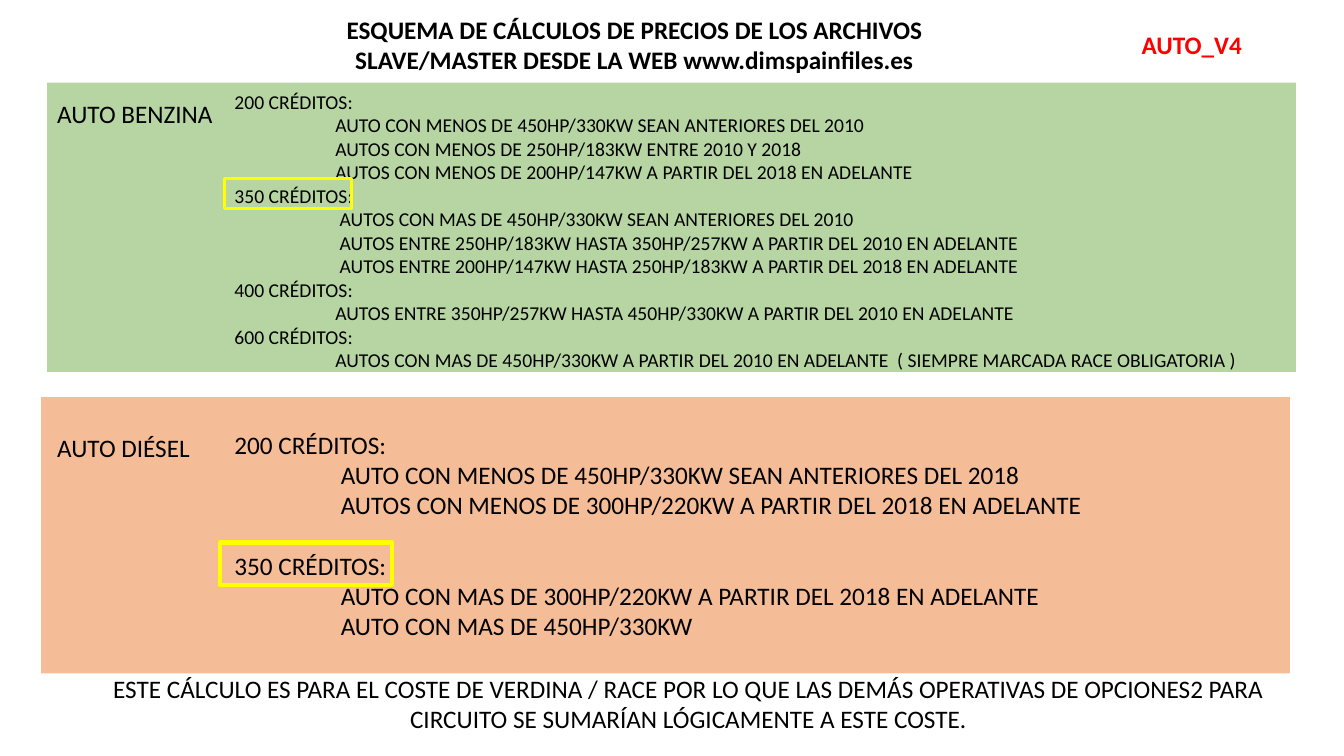
from lxml.etree import SubElement
from pptx import Presentation
from pptx.dml.color import RGBColor
from pptx.enum.shapes import MSO_SHAPE
from pptx.enum.text import PP_ALIGN
from pptx.oxml.ns import qn
from pptx.util import Cm, Pt

BENZINA = [
    ("200 CRÉDITOS:", 2.54, [
        "AUTO CON MENOS DE 450HP/330KW SEAN ANTERIORES DEL 2010",
        "AUTOS CON MENOS DE 250HP/183KW ENTRE 2010 Y 2018",
        "AUTOS CON MENOS DE 200HP/147KW A PARTIR DEL 2018 EN ADELANTE"]),
    ("350 CRÉDITOS:", 2.65, [
        "AUTOS CON MAS DE 450HP/330KW SEAN ANTERIORES DEL 2010",
        "AUTOS ENTRE 250HP/183KW HASTA 350HP/257KW A PARTIR DEL 2010 EN ADELANTE",
        "AUTOS ENTRE 200HP/147KW HASTA 250HP/183KW A PARTIR DEL 2018 EN ADELANTE"]),
    ("400 CRÉDITOS:", 2.54, [
        "AUTOS ENTRE 350HP/257KW HASTA 450HP/330KW A PARTIR DEL 2010 EN ADELANTE"]),
    ("600 CRÉDITOS:", 2.54, [
        "AUTOS CON MAS DE 450HP/330KW A PARTIR DEL 2010 EN ADELANTE  "
        "( SIEMPRE MARCADA RACE OBLIGATORIA )"]),
]
DIESEL = [
    ("200 CRÉDITOS:", 2.68, [
        "AUTO CON MENOS DE 450HP/330KW SEAN ANTERIORES DEL 2018",
        "AUTOS CON MENOS DE 300HP/220KW A PARTIR DEL 2018 EN ADELANTE"]),
    ("350 CRÉDITOS:", 2.68, [
        "AUTO CON MAS DE 300HP/220KW A PARTIR DEL 2018 EN ADELANTE",
        "AUTO CON MAS DE 450HP/330KW"]),
]


def color(hex_code):
    return RGBColor.from_string(hex_code)


def style(paragraph, size=18, hex_code="000000", bold=False):
    font = paragraph.font
    font.name, font.size, font.bold = "Calibri", Pt(size), bold
    font.color.rgb = color(hex_code)


def add_text(slide, box, text="", align=PP_ALIGN.LEFT, wrap=True, **look):
    frame = slide.shapes.add_textbox(*map(Cm, box)).text_frame
    frame.word_wrap = wrap
    if text:
        paragraph = frame.paragraphs[0]
        paragraph.text, paragraph.alignment = text, align
        style(paragraph, **look)
    return frame


def add_rectangle(slide, box):
    rectangle = slide.shapes.add_shape(MSO_SHAPE.RECTANGLE, *map(Cm, box))
    rectangle.shadow.inherit = False
    return rectangle


def add_band(slide, box, fill):
    band = add_rectangle(slide, box)
    band.fill.solid()
    band.fill.fore_color.rgb = color(fill)
    band.line.fill.background()
    # Half transparent
    srgb = band.fill._xPr.find(qn("a:solidFill")).find(qn("a:srgbClr"))
    SubElement(srgb, qn("a:alpha")).set("val", "50000")


def add_highlight(slide, box, width):
    highlight = add_rectangle(slide, box)
    highlight.fill.background()
    highlight.line.color.rgb = color("FFFF00")
    highlight.line.width = Pt(width)


def add_prices(slide, box, tariffs, size, gap):
    frame = add_text(slide, box)
    paragraph = frame.paragraphs[0]
    for index, (credits, indent, conditions) in enumerate(tariffs):
        if index:
            paragraph = frame.add_paragraph()
            paragraph.space_before = Pt(gap)
        paragraph.text = credits
        style(paragraph, size)
        for condition in conditions:
            paragraph = frame.add_paragraph()
            paragraph.text = condition
            paragraph._p.get_or_add_pPr().set("marL", str(Cm(indent)))
            style(paragraph, size)


def add_fuel(slide, box, fill, fuel, label_at, tariffs, prices_at,
             size, gap, highlight_box, highlight_width):
    """Offsets are measured from the top left corner of the band."""
    left, top, width, height = box
    add_band(slide, box, fill)
    add_text(slide, (left + label_at[0], top + label_at[1], 4.47, 1.02),
             fuel, wrap=False)
    dx, dy = prices_at
    add_prices(slide, (left + dx, top + dy, 26.5, height - dy),
               tariffs, size, gap)
    dx, dy, *extent = highlight_box
    add_highlight(slide, (left + dx, top + dy, *extent), highlight_width)


def add_header(slide, left, top):
    add_text(slide, (left, top, 16.94, 1.8),
             "ESQUEMA DE CÁLCULOS DE PRECIOS DE LOS ARCHIVOS SLAVE/MASTER "
             "DESDE LA WEB www.dimspainfiles.es", PP_ALIGN.CENTER, bold=True)
    add_text(slide, (left + 21, top + 0.38, 3.63, 1.02), "AUTO_V4",
             wrap=False, hex_code="FF0000", bold=True)


def add_footer(slide, box):
    add_text(slide, box,
             "ESTE CÁLCULO ES PARA EL COSTE DE VERDINA / RACE POR LO QUE LAS "
             "DEMÁS OPERATIVAS DE OPCIONES2 PARA CIRCUITO SE SUMARÍAN "
             "LÓGICAMENTE A ESTE COSTE.", PP_ALIGN.CENTER)


def main():
    deck = Presentation()
    deck.slide_width, deck.slide_height = Cm(33.87), Cm(19.05)
    slide = deck.slides.add_slide(deck.slide_layouts[6])
    add_header(slide, 7.52, 0.23)
    # Petrol prices
    add_fuel(slide, (1.19, 2.08, 31.47, 7.29), "70AD47",
             "AUTO BENZINA", (0, 0.28), BENZINA, (4.47, 0.05),
             14, 0, (4.47, 2.42, 3.2, 0.76), 2.25)
    # Diesel prices
    add_fuel(slide, (1.04, 10.01, 31.47, 6.96), "ED7D31",
             "AUTO DIÉSEL", (0.15, 0.76), DIESEL, (4.62, 0.68),
             18, 21.6, (4.5, 3.66, 4.34, 1.07), 3)
    add_footer(slide, (1.88, 16.84, 30.94, 1.8))
    deck.save("out.pptx")


if __name__ == "__main__":
    main()
